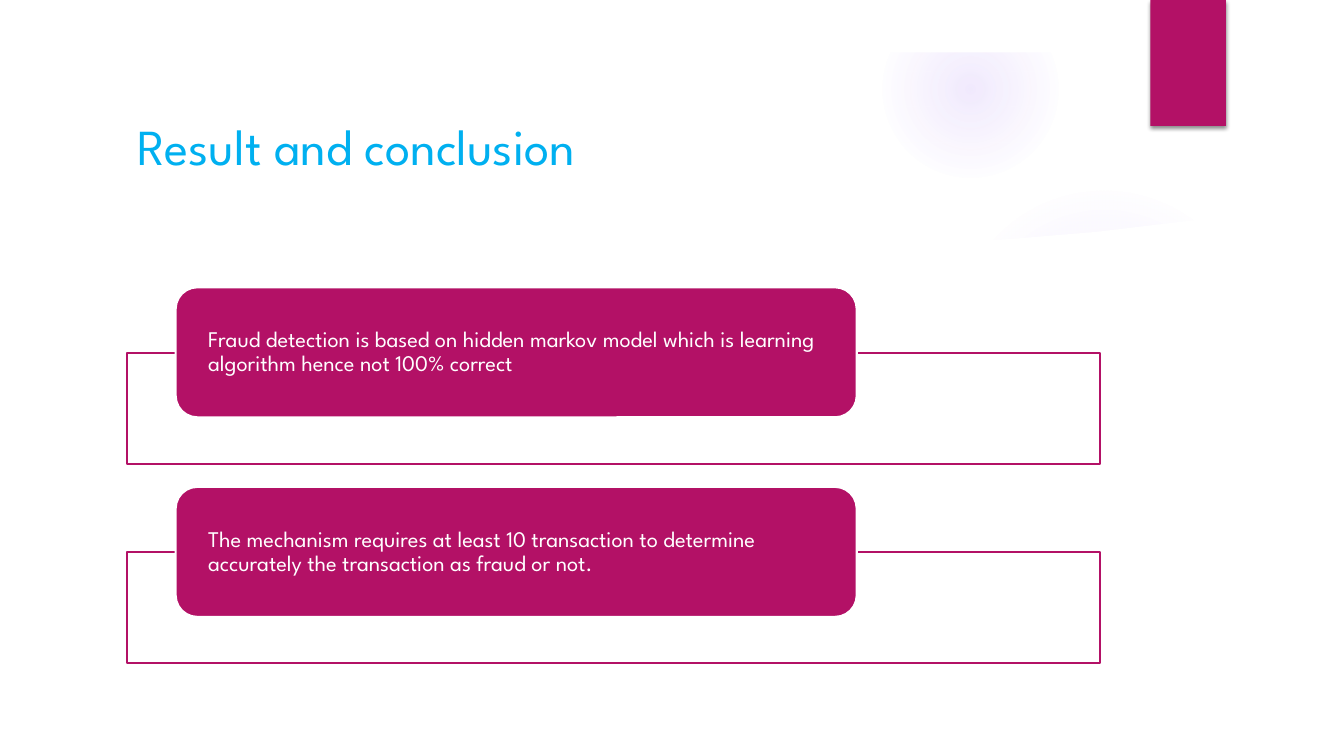
from lxml import etree
from pptx import Presentation
from pptx.dml.color import RGBColor
from pptx.enum.shapes import MSO_SHAPE
from pptx.enum.text import MSO_ANCHOR, MSO_AUTO_SIZE, PP_ALIGN
from pptx.oxml import parse_xml
from pptx.oxml.ns import qn
from pptx.util import Inches, Pt

RECTANGLE, ROUNDED, OVAL = MSO_SHAPE.RECTANGLE, MSO_SHAPE.ROUNDED_RECTANGLE, MSO_SHAPE.OVAL
MIDDLE, LEFT, NO_FIT = MSO_ANCHOR.MIDDLE, PP_ALIGN.LEFT, MSO_AUTO_SIZE.NONE

WIDTH, HEIGHT = 13.33, 7.5
FONT = "League Spartan"
MAGENTA, WHITE, SKY, VIOLET = "B31166", "FFFFFF", "00B0F0", "9B6BF2"
DRAWING = "http://schemas.openxmlformats.org/drawingml/2006/main"

FINDINGS = [
    "Fraud detection is based on hidden markov model which is learning "
    "algorithm hence not 100% correct",
    "The mechanism requires at least 10 transaction to determine "
    "accurately the transaction as fraud or not.",
]
# Top edge of the white sheet, from left to right
SHEET_EDGE = [(0.5, 2.04), (2.49, 2.27), (4.88, 2.43), (7.08, 2.48), (8.94, 2.44),
              (10.04, 2.37), (10.88, 2.3), (11.72, 2.2), (12.28, 2.13), (12.84, 2.04)]


def color(value):
    return RGBColor.from_string(value)


def paint(shape, fill, line=None):
    shape.shadow.inherit = False
    shape.fill.solid()
    shape.fill.fore_color.rgb = color(fill)
    if line:
        shape.line.color.rgb = color(line)
        shape.line.width = Pt(1.5)
    else:
        shape.line.fill.background()


def add_box(slide, kind, box, fill, line=None):
    shape = slide.shapes.add_shape(kind, *map(Inches, box))
    paint(shape, fill, line)
    return shape


def set_text(shape, text, size, text_color):
    frame = shape.text_frame
    frame.text = text
    frame.word_wrap = True
    frame.auto_size = NO_FIT
    frame.vertical_anchor = MIDDLE
    paragraph = frame.paragraphs[0]
    paragraph.alignment = LEFT
    paragraph.font.name = FONT
    paragraph.font.size = Pt(size)
    paragraph.font.color.rgb = color(text_color)
    return paragraph


def add_glow(slide, left, top, diameter, stops):
    """Place a circle that fades out; stops are (position %, opacity %)."""
    glow = add_box(slide, OVAL, (left, top, diameter, diameter), VIOLET)
    stop_list = "".join(
        f'<a:gs pos="{position * 1000}"><a:srgbClr val="{VIOLET}">'
        f'<a:alpha val="{opacity * 1000}"/></a:srgbClr></a:gs>'
        for position, opacity in stops)
    gradient = parse_xml(
        f'<a:gradFill xmlns:a="{DRAWING}" rotWithShape="1"><a:gsLst>{stop_list}</a:gsLst>'
        '<a:path path="circle"><a:fillToRect l="50000" t="50000" r="50000" b="50000"/>'
        '</a:path></a:gradFill>')
    properties = glow.element.spPr
    properties.replace(properties.find(qn("a:solidFill")), gradient)


def add_backdrop(slide):
    # Soft glows
    add_glow(slide, 9.41, 1.83, 3.08, [(0, 7), (36, 6), (69, 0)])
    add_glow(slide, 8.75, 0.01, 1.75, [(0, 14), (36, 7), (73, 0)])
    # White sheet with a curved top edge, and the top margin
    points = [(Inches(x), Inches(y)) for x, y in SHEET_EDGE + [(12.84, 7), (0.5, 7)]]
    builder = slide.shapes.build_freeform(*points[0])
    builder.add_line_segments(points[1:], close=True)
    paint(builder.convert_to_shape(), WHITE)
    add_box(slide, RECTANGLE, (0, 0, WIDTH, 0.52), WHITE)


def add_ribbon(slide, box):
    ribbon = add_box(slide, RECTANGLE, box, MAGENTA)
    effects = ribbon.element.spPr.find(qn("a:effectLst"))
    shadow = etree.SubElement(effects, qn("a:outerShdw"), blurRad=str(Pt(3)),
                              dist=str(Pt(2)), dir="5400000", rotWithShape="0")
    shade = etree.SubElement(shadow, qn("a:srgbClr"), val="000000")
    etree.SubElement(shade, qn("a:alpha"), val="45000")


def add_title(slide, text, box):
    title = slide.shapes.title
    title.left, title.top, title.width, title.height = map(Inches, box)
    set_text(title, text, 36, SKY)


def add_findings(slide, findings, box):
    """Stack outlined panels, each with a card overlapping its top edge."""
    left, top, width, height = box
    card_height, panel_height, overlap = 1.29, 1.1, 0.65
    pitch = (height - overlap - panel_height) / (len(findings) - 1)
    for index, finding in enumerate(findings):
        card_top = top + index * pitch
        add_box(slide, RECTANGLE, (left, card_top + overlap, width, panel_height),
                WHITE, MAGENTA)
        card = add_box(slide, ROUNDED, (left + 0.05 * width, card_top, 0.7 * width, card_height),
                       MAGENTA, WHITE)
        paragraph = set_text(card, finding, 16, WHITE)
        paragraph.line_spacing = 0.9
        frame = card.text_frame
        frame.margin_left = frame.margin_right = Inches(0.26)
        frame.margin_top = frame.margin_bottom = 0


def main():
    presentation = Presentation()
    presentation.slide_width, presentation.slide_height = Inches(WIDTH), Inches(HEIGHT)
    slide = presentation.slides.add_slide(presentation.slide_layouts[5])
    add_backdrop(slide)
    add_ribbon(slide, (11.41, 0, 0.75, 1.25))
    add_title(slide, "Result and conclusion", (1.26, 1.06, 9.58, 0.77))
    add_findings(slide, FINDINGS, (1.26, 2.85, 9.65, 3.73))
    presentation.save("out.pptx")


if __name__ == "__main__":
    main()
